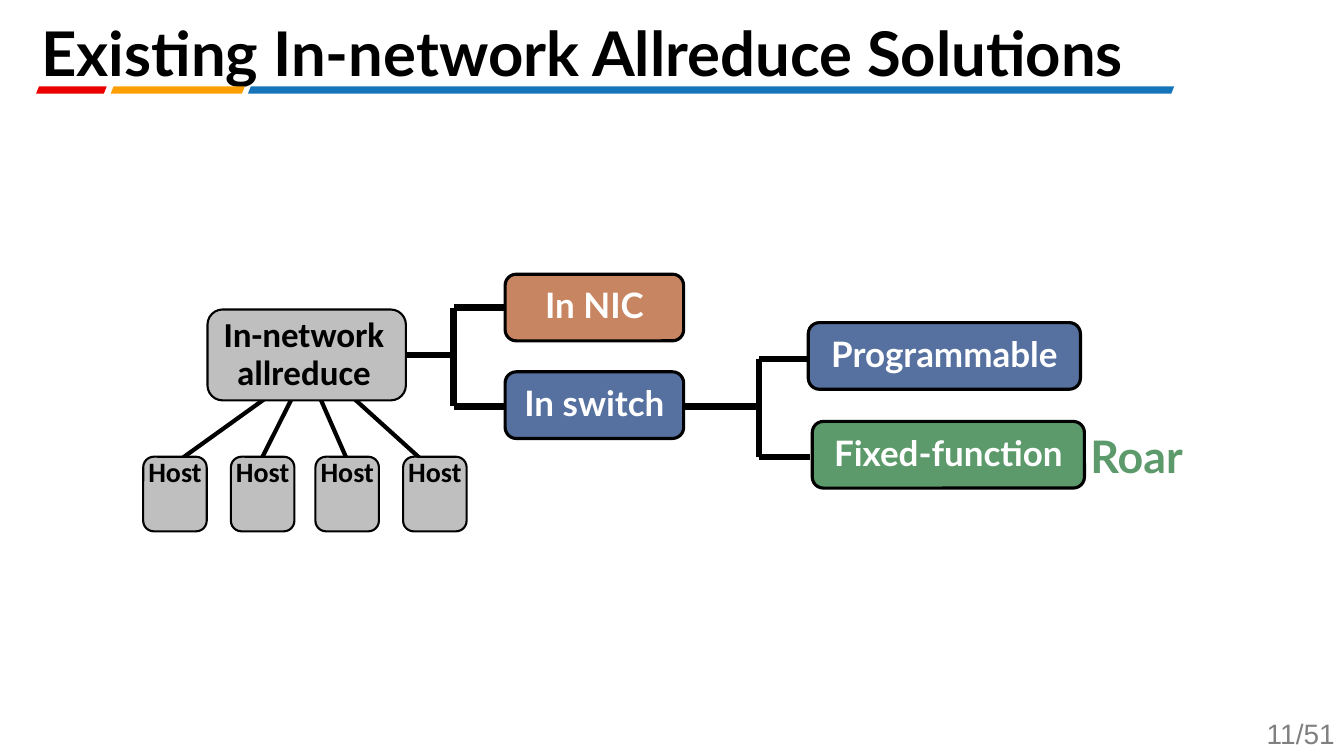
from dataclasses import dataclass
from typing import NamedTuple, Optional

from pptx import Presentation
from pptx import util as u
from pptx.dml.color import RGBColor
from pptx.enum import shapes, text
from pptx.oxml import ns
from lxml import etree

BLACK = RGBColor(0x00, 0x00, 0x00)
WHITE = RGBColor(0xFF, 0xFF, 0xFF)
GREY = RGBColor(0xBF, 0xBF, 0xBF)
PAGE_GREY = RGBColor(0x80, 0x80, 0x80)
RED = RGBColor(0xEB, 0x00, 0x00)
ORANGE = RGBColor(0xFD, 0x9F, 0x02)
BLUE = RGBColor(0x16, 0x74, 0xBA)
SLATE = RGBColor(0x56, 0x71, 0xA0)
GREEN = RGBColor(0x5D, 0x9A, 0x6B)
COPPER = RGBColor(0xC7, 0x85, 0x61)

CENTER, LEFT, RIGHT = text.PP_ALIGN.CENTER, text.PP_ALIGN.LEFT, text.PP_ALIGN.RIGHT
TOP, MIDDLE, BOTTOM = text.MSO_ANCHOR.TOP, text.MSO_ANCHOR.MIDDLE, text.MSO_ANCHOR.BOTTOM
INSETS = ("margin_left", "margin_top", "margin_right", "margin_bottom")


class Area(NamedTuple):
    """A rectangle in centimetres."""
    left: float
    top: float
    width: float
    height: float

    def lengths(self) -> list:
        return [u.Cm(value) for value in self]


@dataclass
class Style:
    size: float
    color: RGBColor
    font: str = "Lato"
    bold: bool = True
    align: int = CENTER
    anchor: int = MIDDLE
    spacing: float = 1.0
    inset: Optional[float] = None


@dataclass
class Node:
    area: Area
    fill: RGBColor
    outline: float
    label: str = ""


class Fork(NamedTuple):
    """A stem that splits at a spine into an upper and a lower branch."""
    start: float
    spine: float
    tip: float
    stem: float
    upper: float
    lower: float


NODE_STYLE = Style(25, WHITE, spacing=0.9)
ROOT_STYLE = Style(25, BLACK, "Calibri", anchor=TOP, spacing=0.9, inset=0)
HOST_STYLE = Style(20, BLACK, "Calibri", anchor=TOP, inset=0)
TITLE_STYLE = Style(44, BLACK, align=LEFT, anchor=BOTTOM, spacing=0.6, inset=0)
ROAR_STYLE = Style(32, GREEN, align=LEFT, anchor=TOP)
PAGE_STYLE = Style(20, PAGE_GREY, "Arial", bold=False, align=RIGHT, anchor=TOP)

# left edge, width and colour of each part of the title rule
RULE_PARTS = [(6.25, 23.34, BLUE), (0.91, 1.78, RED), (2.79, 3.38, ORANGE)]
FORKS = [Fork(9.53, 11.43, 12.73, 8.94, 7.75, 10.24),
         Fork(17.22, 19.13, 20.42, 10.24, 9.04, 11.51)]
NODES = [Node(Area(20.37, 8.13, 6.86, 1.68), SLATE, 2.25, "Programmable"),
         Node(Area(20.47, 10.62, 6.86, 1.68), GREEN, 2.25, "Fixed-function"),
         Node(Area(12.73, 9.37, 4.5, 1.68), SLATE, 2.25, "In switch"),
         Node(Area(12.73, 6.91, 4.5, 1.68), COPPER, 2.25, "In NIC")]
HOST_LINKS = [(11.35, 12.24, 8.74, 9.88), (4.11, 11.89, 6.91, 9.88),
              (6.4, 11.94, 7.37, 10.01), (8.97, 12.09, 8, 9.88)]
HOST_LEFTS = [3.61, 5.82, 7.95, 10.16]


def write(box, wording: str, style: Style) -> None:
    frame = box.text_frame
    frame.text = wording
    settings = {"word_wrap": True, "vertical_anchor": style.anchor,
                "auto_size": text.MSO_AUTO_SIZE.NONE}
    if style.inset is not None:
        settings.update({side: u.Cm(style.inset) for side in INSETS})
    for name, value in settings.items():
        setattr(frame, name, value)
    para = frame.paragraphs[0]
    for name, value in {"alignment": style.align, "line_spacing": style.spacing,
                        "space_before": u.Pt(0)}.items():
        setattr(para, name, value)
    font = para.runs[0].font
    for name, value in {"name": style.font, "size": u.Pt(style.size),
                        "bold": style.bold}.items():
        setattr(font, name, value)
    font.color.rgb = style.color


def add_label(page, area: Area, wording: str, style: Style) -> None:
    write(page.shapes.add_textbox(*area.lengths()), wording, style)


def add_filled(page, kind, area: Area, fill: RGBColor):
    box = page.shapes.add_shape(kind, *area.lengths())
    box.shadow.inherit = False
    box.fill.solid()
    box.fill.fore_color.rgb = fill
    box.line.fill.background()
    return box


def add_node(page, node: Node) -> None:
    box = add_filled(page, shapes.MSO_SHAPE.ROUNDED_RECTANGLE, node.area, node.fill)
    box.line.color.rgb = BLACK
    box.line.width = u.Pt(node.outline)
    if node.label:
        write(box, node.label, NODE_STYLE)


def add_line(page, ends: tuple, width: float) -> None:
    line = page.shapes.add_connector(shapes.MSO_CONNECTOR.STRAIGHT,
                                     *[u.Cm(value) for value in ends])
    line.line.color.rgb = BLACK
    line.line.width = u.Pt(width)
    etree.SubElement(line._element.spPr, ns.qn("a:effectLst"))


def add_fork(page, fork: Fork) -> None:
    add_line(page, (fork.start, fork.stem, fork.spine, fork.stem), 4.5)
    for level in (fork.lower, fork.upper):
        add_line(page, (fork.spine, level, fork.tip, level), 4.5)
    add_line(page, (fork.spine, fork.lower, fork.spine, fork.upper), 4.5)


def main() -> None:
    deck = Presentation()
    deck.slide_width, deck.slide_height = u.Cm(33.87), u.Cm(19.05)
    page = deck.slides.add_slide(deck.slide_layouts[5])

    # Title, coloured rule and page number
    for left, width, color in RULE_PARTS:
        part = add_filled(page, shapes.MSO_SHAPE.PARALLELOGRAM,
                          Area(left, 2.18, width, 0.18), color)
        part.adjustments[0] = 0.4
    title = page.shapes.title
    title.left, title.top, title.width, title.height = Area(1.04, 0, 31.88, 2.16).lengths()
    write(title, "Existing In-network Allreduce Solutions", TITLE_STYLE)
    add_label(page, Area(30.99, 17.93, 2.9, 1.12), "11/51", PAGE_STYLE)

    # Tree of solutions
    for fork in FORKS:
        add_fork(page, fork)
    for node in NODES:
        add_node(page, node)
    add_label(page, Area(27.23, 10.67, 3.02, 1.6), "Roar", ROAR_STYLE)

    # Root with its hosts
    for link in HOST_LINKS:
        add_line(page, link, 3)
    add_node(page, Node(Area(5.23, 7.8, 5, 2.29), GREY, 1.5))
    add_label(page, Area(5.41, 8, 4.5, 1.88), "In-network allreduce", ROOT_STYLE)
    for left in HOST_LEFTS:
        add_node(page, Node(Area(left, 11.51, 1.6, 1.88), GREY, 1.5))
        add_label(page, Area(left, 11.46, 1.6, 0.74), "Host", HOST_STYLE)

    deck.save("out.pptx")


if __name__ == "__main__":
    main()
